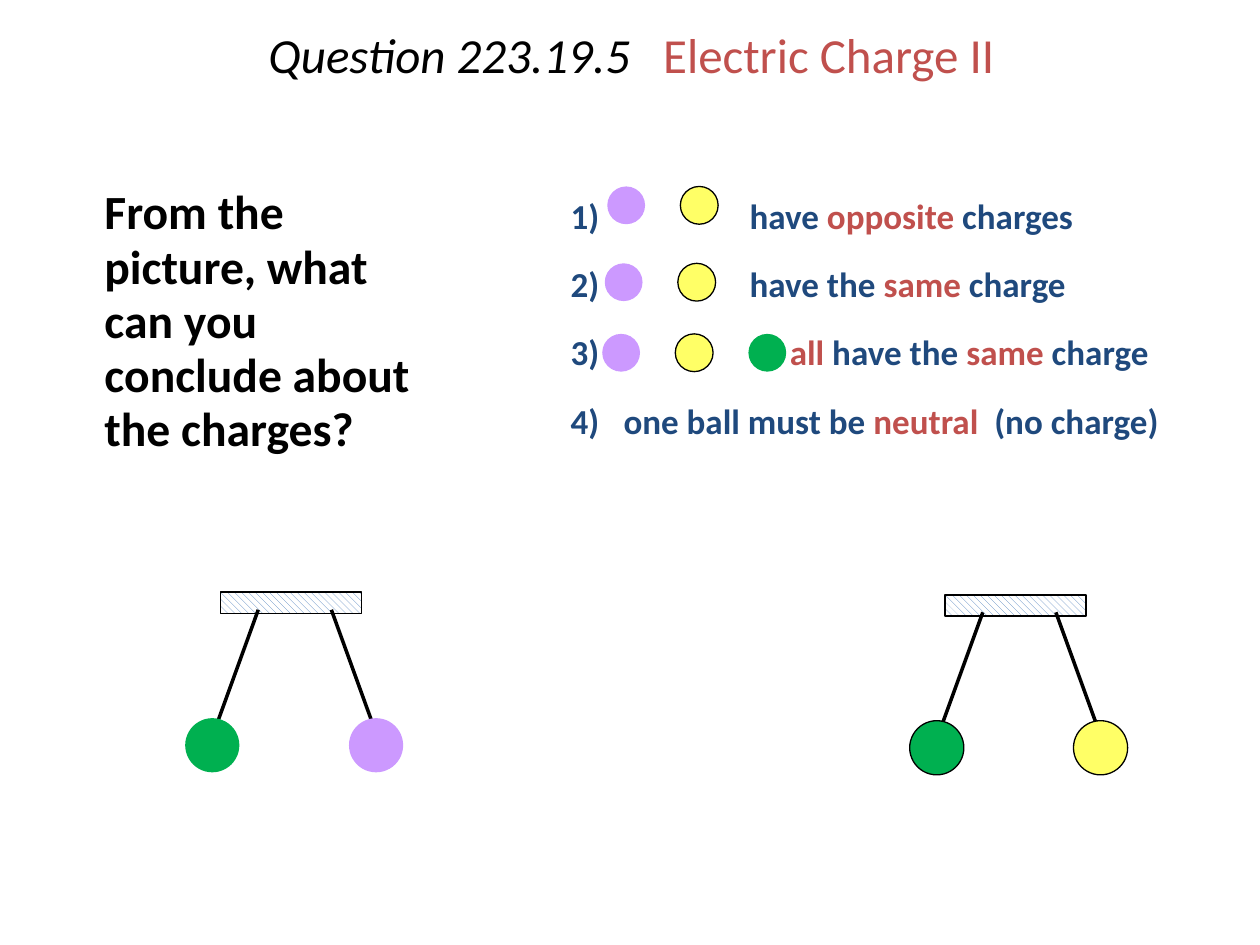
from lxml.etree import SubElement
from pptx import Presentation
from pptx.dml.color import RGBColor
from pptx.enum.dml import MSO_PATTERN
from pptx.enum.shapes import MSO_CONNECTOR, MSO_SHAPE
from pptx.enum.text import MSO_ANCHOR, PP_ALIGN
from pptx.oxml.ns import qn
from pptx.util import Inches, Pt

BLACK = RGBColor(0x00, 0x00, 0x00)
WHITE = RGBColor(0xFF, 0xFF, 0xFF)
NAVY = RGBColor(0x1F, 0x49, 0x7D)
BLUE = RGBColor(0x4F, 0x81, 0xBD)
RED = RGBColor(0xC0, 0x50, 0x4D)
GREEN = RGBColor(0x00, 0xB0, 0x50)
PURPLE = RGBColor(0xCC, 0x99, 0xFF)
YELLOW = RGBColor(0xFF, 0xFF, 0x66)

TITLE_FONT = {"name": "Calibri", "size": Pt(28)}
PROMPT_FONT = {"name": "Calibri", "size": Pt(27.2), "bold": True}
ANSWER_FONT = {"name": "Calibri", "size": Pt(20), "bold": True}

ANSWERS = [
    (1.42, [("1)\thave ", NAVY), ("opposite", RED), (" charges", NAVY)]),
    (1.42, [("2)\thave the ", NAVY), ("same", RED), (" charge", NAVY)]),
    (1.74, [("3)\t", NAVY), ("all", RED), (" have the ", NAVY),
            ("same", RED), (" charge", NAVY)]),
    (0.42, [("4)\tone ball must be ", NAVY), ("neutral", RED),
            ("  (no charge)", NAVY)]),
]
ANSWER_BALLS = [
    (4.82, 1.48, [PURPLE, YELLOW]),
    (4.80, 2.09, [PURPLE, YELLOW]),
    (4.78, 2.65, [PURPLE, YELLOW, GREEN]),
]
BALL_STEP = 0.58


def set_attrs(obj, values):
    for name, value in values.items():
        setattr(obj, name, value)


def add_text_box(s, left, top, width, height):
    sp = s.shapes.add_textbox(Inches(left), Inches(top), Inches(width), Inches(height))
    sp.text_frame.word_wrap = True
    return sp.text_frame


def add_run(p, text, color, font):
    r = p.add_run()
    r.text = text
    set_attrs(r.font, font)
    r.font.color.rgb = color


def set_indent(p, left, first=0):
    pPr = p._p.get_or_add_pPr()
    pPr.set("marL", str(Inches(left)))
    pPr.set("indent", str(Inches(first)))


def add_ball(shapes, left, top, size, color, outlined):
    sp = shapes.add_shape(MSO_SHAPE.OVAL, Inches(left), Inches(top),
                          Inches(size), Inches(size))
    sp.shadow.inherit = False
    sp.fill.solid()
    sp.fill.fore_color.rgb = color
    if outlined:
        sp.line.color.rgb = BLACK
        sp.line.width = Pt(0.75)
    else:
        sp.line.fill.background()


def add_support(shapes, left, top):
    sp = shapes.add_shape(MSO_SHAPE.RECTANGLE, Inches(left), Inches(top),
                          Inches(1.12), Inches(0.17))
    sp.shadow.inherit = False
    sp.fill.patterned()
    sp.fill.pattern = MSO_PATTERN.WIDE_DOWNWARD_DIAGONAL
    sp.fill.fore_color.rgb = BLUE
    sp.fill.back_color.rgb = WHITE
    sp.line.color.rgb = BLACK
    sp.line.width = Pt(1)


def add_string(shapes, x1, y1, x2, y2):
    line = shapes.add_connector(MSO_CONNECTOR.STRAIGHT, Inches(x1), Inches(y1),
                                Inches(x2), Inches(y2))
    line.line.color.rgb = BLACK
    line.line.width = Pt(2)
    SubElement(line._element.spPr, qn("a:effectLst"))


def add_pendulums(s, left, top, colors, outlined):
    shapes = s.shapes.add_group_shape().shapes
    add_support(shapes, left + 0.28, top)
    for start, end in ((1.16, 1.49), (0.58, 0.25)):
        add_string(shapes, left + start, top + 0.14, left + end, top + 1.05)
    for i, color in enumerate(colors):
        add_ball(shapes, left + 1.3 * i, top + 1, 0.43, color, outlined)


def add_answers(s):
    tf = add_text_box(s, 4.43, 1.36, 4.91, 1.89)
    for i, (indent, runs) in enumerate(ANSWERS):
        p = tf.add_paragraph() if i else tf.paragraphs[0]
        set_attrs(p, {"line_spacing": 1.4, "space_before": Pt(5.4 if i else 0)})
        set_indent(p, indent, -indent)
        for text, color in runs:
            add_run(p, text, color, ANSWER_FONT)


def add_title(s):
    tf = add_text_box(s, 1.02, 0, 7.98, 0.92)
    tf.vertical_anchor = MSO_ANCHOR.MIDDLE
    p = tf.paragraphs[0]
    set_attrs(p, {"alignment": PP_ALIGN.CENTER, "line_spacing": 0.9})
    add_run(p, "Question 223.19.5   ", BLACK, {**TITLE_FONT, "italic": True})
    add_run(p, "Electric Charge II", RED, TITLE_FONT)


def add_prompt(s):
    p = add_text_box(s, 0.29, 1.43, 3.11, 2.44).paragraphs[0]
    p.line_spacing = 0.95
    set_indent(p, 0.44)
    add_run(p, "From the picture, what can you conclude about the charges?",
            BLACK, PROMPT_FONT)


def main():
    prs = Presentation()
    prs.slide_width, prs.slide_height = Inches(10), Inches(7.5)
    s = prs.slides.add_slide(prs.slide_layouts[6])
    add_pendulums(s, 1.47, 4.7, [GREEN, PURPLE], False)
    add_pendulums(s, 7.22, 4.72, [GREEN, YELLOW], True)
    add_answers(s)
    add_title(s)
    add_prompt(s)
    for left, top, colors in ANSWER_BALLS:
        for i, color in enumerate(colors):
            add_ball(s.shapes, left + BALL_STEP * i, top, 0.3, color, color == YELLOW)
    prs.save("out.pptx")


if __name__ == "__main__":
    main()
